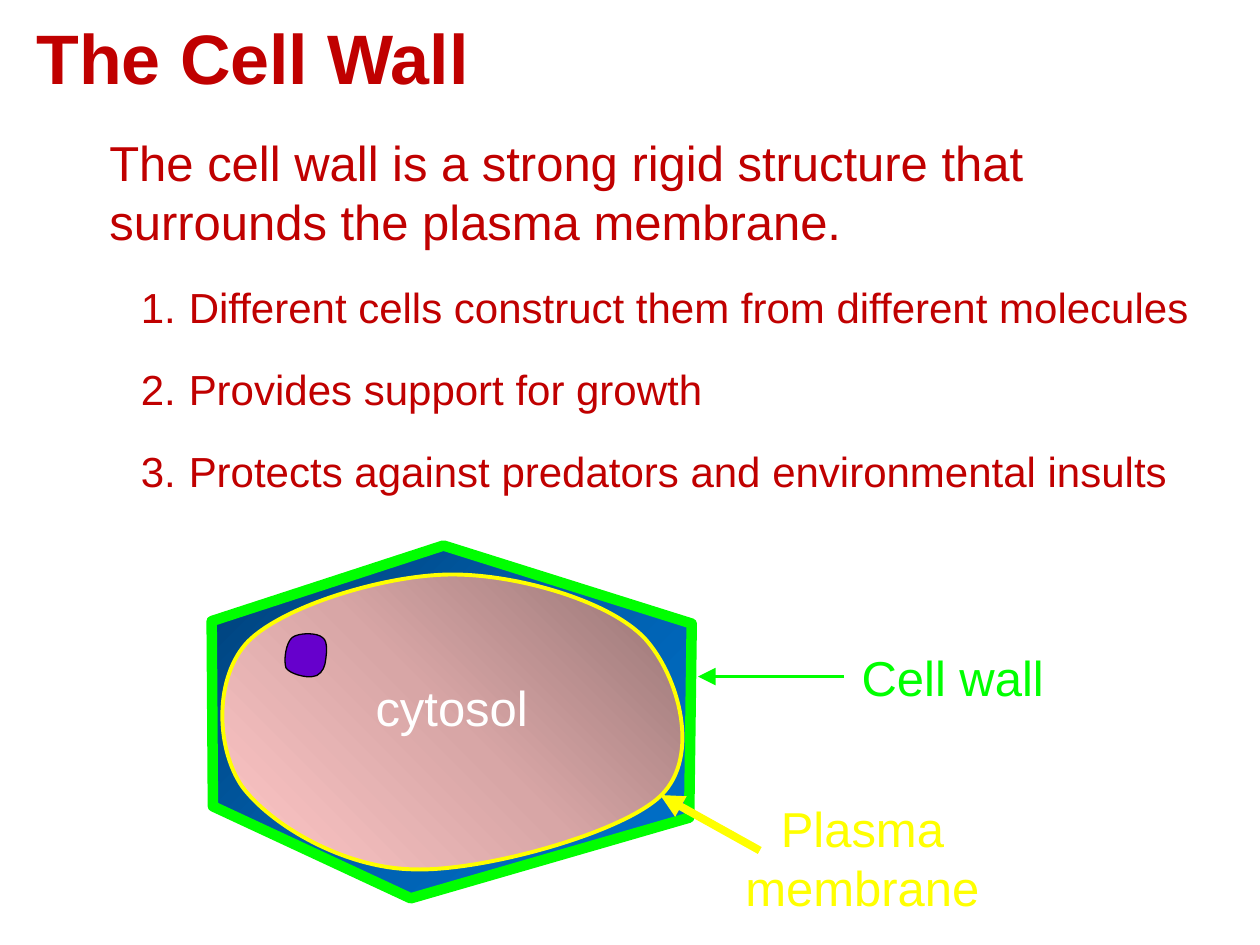
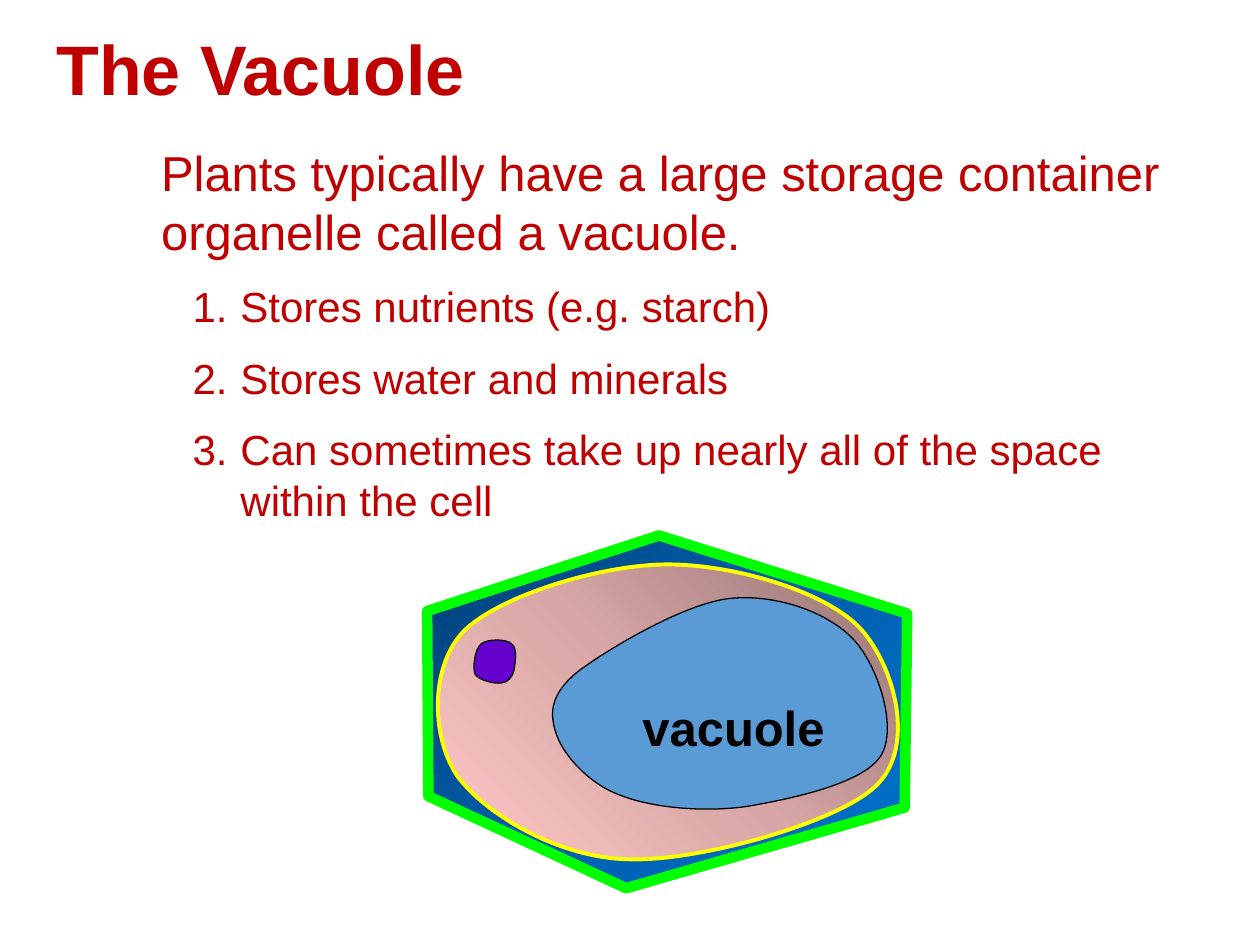
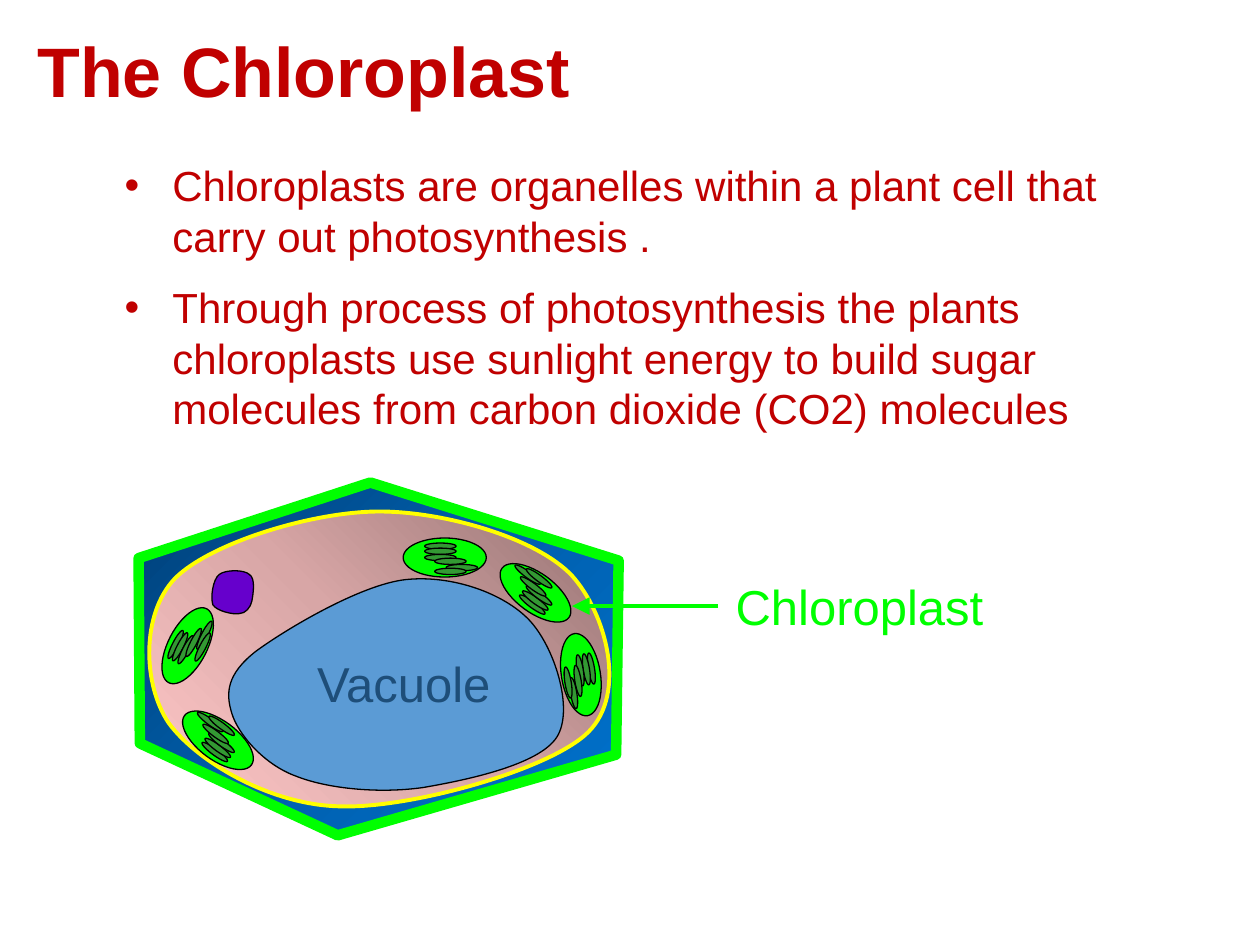
import math

from lxml import etree
from pptx import Presentation
from pptx import util as u
from pptx.dml.color import RGBColor
from pptx.enum import shapes, text
from pptx.oxml import parse_xml
from pptx.oxml.ns import nsdecls, qn

PX = 9144  # 100 px to the inch
FONT = "Arial"
COLORS = {
    "text": "C00000", "green": "00FF00", "yellow": "FFFF00", "white": "FFFFFF",
    "black": "000000", "nucleus": "6600CC", "vacuole": "5B9BD5",
    "vacuole_label": "1E4E79", "thylakoid": "339933",
}
GRADIENTS = {
    "wall": (("003F77", "005FAD", "0072CE"), '<a:lin ang="2700000" scaled="1"/>'),
    "cytosol": (("957373", "D8A6A6", "FFC8C8"),
                '<a:path path="circle"><a:fillToRect l="100000" b="100000"/></a:path>'),
}

# Outlines relative to the corner of their own box: its size, a start point,
# then an end point per straight piece or two control points and an end point per curve
WALL = ((381, 280), (0, 60), [
    (1, 207), (158, 280), (379, 216), (381, 62), (184, 0), (0, 60)])
MEMBRANE = ((365, 234), (21, 53), [
    (-6, 81, -5, 137, 16, 168), (38, 198, 96, 233, 152, 234),
    (207, 236, 319, 205, 349, 175), (380, 144, 363, 81, 336, 51),
    (308, 21, 235, 0, 183, 0), (130, 0, 49, 25, 21, 53)])
VACUOLE = ((266, 168), (22, 58), [
    (-1, 76, -2, 91, 3, 107), (8, 124, 29, 148, 54, 157),
    (79, 167, 120, 171, 155, 166), (190, 160, 247, 148, 261, 126),
    (275, 104, 259, 54, 239, 33), (219, 12, 178, -3, 141, 1),
    (105, 5, 45, 41, 22, 58)])
NUCLEUS = ((33, 34), (6, 3), [
    (1, 7, -1, 21, 1, 27), (4, 32, 17, 35, 22, 34), (27, 34, 31, 29, 32, 24),
    (33, 18, 35, 6, 30, 3), (26, -1, 11, -1, 6, 3)])
# Centres of the thylakoids, measured from the centre of a level chloroplast
THYLAKOIDS = [(-3.5, -9), (-3.5, -5), (-3.5, 0), (4.5, 3), (13.5, 8), (4.5, 11)]
# Chloroplast centres relative to the cell, with their turn in degrees
CHLOROPLASTS = [(243, 59.5, 0), (315, 87.5, 216.4), (351, 152.5, 80.8),
                (63, 204.5, 216.4), (39, 129.5, 297.2)]


def px(value):
    return u.Emu(round(value * PX))


def rgb(name):
    return RGBColor.from_string(COLORS[name])


def paint(shape, fill, line="black", width=0.75):
    shape.shadow.inherit = False
    if fill in GRADIENTS:
        stops, direction = GRADIENTS[fill]
        stop_xml = "".join(f'<a:gs pos="{i * 50000}"><a:srgbClr val="{stop}"/></a:gs>'
                           for i, stop in enumerate(stops))
        gradient = parse_xml(f'<a:gradFill rotWithShape="1" {nsdecls("a")}>'
                             f'<a:gsLst>{stop_xml}</a:gsLst>{direction}</a:gradFill>')
        shape._element.spPr.find(qn("a:custGeom")).addnext(gradient)
    else:
        shape.fill.solid()
        shape.fill.fore_color.rgb = rgb(fill)
    shape.line.color.rgb = rgb(line)
    shape.line.width = u.Pt(width)


def bend(shape, size, pieces, start):
    """Turn the straight pieces of a freeform into Bezier curves."""
    outline = next(shape._element.iter(qn("a:path")))
    outline.set("w", str(px(size[0])))
    outline.set("h", str(px(size[1])))
    for command in list(outline):
        outline.remove(command)
    commands = [("a:moveTo", start)] + [("a:cubicBezTo", piece) for piece in pieces]
    for tag, numbers in commands:
        command = etree.SubElement(outline, qn(tag))
        for x, y in zip(numbers[::2], numbers[1::2]):
            etree.SubElement(command, qn("a:pt"), x=str(px(x)), y=str(px(y)))
    etree.SubElement(outline, qn("a:close"))


def add_outline(slide, left, top, outline, *style):
    size, start, pieces = outline
    corners = [(px(left + x), px(top + y))
               for x, y in [start] + [piece[-2:] for piece in pieces]]
    builder = slide.shapes.build_freeform(*corners[0])
    builder.add_line_segments(corners[1:], close=True)
    shape = builder.convert_to_shape()
    if len(pieces[0]) == 6:
        bend(shape, size, pieces, start)
        shape.left, shape.top = px(left), px(top)
        shape.width, shape.height = map(px, size)
    paint(shape, *style)


def add_ellipse(slide, center_x, center_y, width, height, turn, fill):
    ellipse = slide.shapes.add_shape(
        shapes.MSO_SHAPE.OVAL, px(center_x - width / 2), px(center_y - height / 2),
        px(width), px(height))
    ellipse.rotation = turn
    paint(ellipse, fill)


def add_run(paragraph, words, size, color, bold=False):
    run = paragraph.add_run()
    run.text = words
    run.font.name = FONT
    run.font.size = u.Pt(size)
    run.font.bold = bold
    run.font.color.rgb = rgb(color)


def add_frame(slide, box):
    frame = slide.shapes.add_textbox(*map(px, box)).text_frame
    frame.word_wrap = True
    return frame


def add_label(slide, box, words, color, size=28, bold=False, centered=False):
    paragraph = add_frame(slide, box).paragraphs[0]
    if centered:
        paragraph.alignment = text.PP_ALIGN.CENTER
    add_run(paragraph, words, size, color, bold)


def add_title(slide, box, words):
    add_label(slide, box, words, "text", size=40, bold=True)


def add_list(slide, box, items, gap, lead=None):
    """A numbered list below a lead sentence, or a bulleted list without one."""
    frame = add_frame(slide, box)
    paragraph = frame.paragraphs[0]
    if lead:
        add_run(paragraph, lead, 28, "text")
    for index, item in enumerate(items):
        if lead or index:
            paragraph = frame.add_paragraph()
            paragraph.space_before = u.Pt(gap)
        props = paragraph._p.get_or_add_pPr()
        props.set("marL", str(px(63 if lead else 38)))
        props.set("indent", str(px(-38)))
        bullet_color = etree.SubElement(props, qn("a:buClr"))
        etree.SubElement(bullet_color, qn("a:srgbClr"), val=COLORS["text"])
        etree.SubElement(props, qn("a:buFont"), typeface=FONT)
        if lead:
            etree.SubElement(props, qn("a:buAutoNum"), type="arabicPeriod")
        else:
            etree.SubElement(props, qn("a:buChar"), char="•")
        add_run(paragraph, item, 24, "text")


def add_arrow(slide, start, end, color, width, head="lg"):
    arrow = slide.shapes.add_connector(
        shapes.MSO_CONNECTOR.STRAIGHT, *map(px, (*start, *end)))
    arrow.line.color.rgb = rgb(color)
    arrow.line.width = u.Pt(width)
    props = arrow._element.spPr
    etree.SubElement(props.find(qn("a:ln")), qn("a:tailEnd"),
                     type="triangle", w=head, len=head)
    etree.SubElement(props, qn("a:effectLst"))


def add_chloroplast(slide, center_x, center_y, turn):
    add_ellipse(slide, center_x, center_y, 66, 31, turn, "green")
    cos, sin = math.cos(math.radians(turn)), math.sin(math.radians(turn))
    for x, y in THYLAKOIDS:
        add_ellipse(slide, center_x + x * cos - y * sin, center_y + x * sin + y * cos,
                    25, 5, turn, "thylakoid")


def add_cell(slide, left, top, nucleus, vacuole=None):
    """A plant cell; nucleus and vacuole are offsets from its corner."""
    add_outline(slide, left, top, WALL, "wall", "green", 6)
    add_outline(slide, left + 8, top + 23, MEMBRANE, "cytosol", "yellow", 2.25)
    if vacuole:
        add_outline(slide, left + vacuole[0], top + vacuole[1], VACUOLE, "vacuole")
    add_outline(slide, left + nucleus[0], top + nucleus[1], NUCLEUS, "nucleus")


def cell_wall_slide(slide):
    add_title(slide, (19, 7, 380, 77), "The Cell Wall")
    add_list(slide, (77, 100, 896, 311), [
        "Different cells construct them from different molecules",
        "Provides support for growth",
        "Protects against predators and environmental insults",
    ], 18, "The cell wall is a strong rigid structure that surrounds the plasma membrane.")
    left, top = 168, 433
    add_cell(slide, left, top, nucleus=(58, 70))
    # Labels and their arrows
    add_arrow(slide, (left + 502, top + 104), (left + 386, top + 104), "green", 2)
    add_label(slide, (left + 506, top + 76, 167, 57), "Cell wall", "green")
    add_label(slide, (left + 395, top + 196, 243, 104), "Plasma membrane", "yellow",
              centered=True)
    add_arrow(slide, (left + 435, top + 242), (left + 356, top + 198), "yellow", 4.5,
              "med")
    add_label(slide, (left + 69, top + 100, 243, 57), "cytosol", "white", centered=True)


def vacuole_slide(slide):
    add_title(slide, (35, 15, 383, 78), "The Vacuole")
    add_list(slide, (118, 108, 822, 336), [
        "Stores nutrients (e.g. starch)",
        "Stores water and minerals",
        "Can sometimes take up nearly all of the space within the cell",
    ], 12, "Plants typically have a large storage container organelle called a vacuole.")
    left, top = 339, 425
    add_cell(slide, left, top, nucleus=(37, 83), vacuole=(99, 49))
    add_label(slide, (left + 161, top + 124, 167, 57), "vacuole", "black", bold=True)


def chloroplast_slide(slide):
    add_title(slide, (20, 17, 470, 78), "The Chloroplast")
    add_list(slide, (89, 122, 847, 234), [
        "Chloroplasts are organelles within a plant cell that carry out photosynthesis .",
        "Through process of photosynthesis the plants chloroplasts use sunlight energy "
        "to build sugar molecules from carbon dioxide (CO2) molecules",
    ], 12)
    left, top = 110, 383
    add_cell(slide, left, top, nucleus=(58, 70), vacuole=(71, 76))
    add_label(slide, (left + 89, top + 131, 243, 57), "Vacuole", "vacuole_label",
              centered=True)
    for x, y, turn in CHLOROPLASTS:
        add_chloroplast(slide, left + x, top + y, turn)
    # Label and its arrow
    add_arrow(slide, (left + 460, top + 98), (left + 344, top + 98), "green", 2)
    add_label(slide, (left + 464, top + 70, 219, 57), "Chloroplast", "green")


def main():
    deck = Presentation()
    deck.slide_width, deck.slide_height = px(1000), px(750)
    for build in (cell_wall_slide, vacuole_slide, chloroplast_slide):
        build(deck.slides.add_slide(deck.slide_layouts[6]))
    deck.save("out.pptx")


if __name__ == "__main__":
    main()
